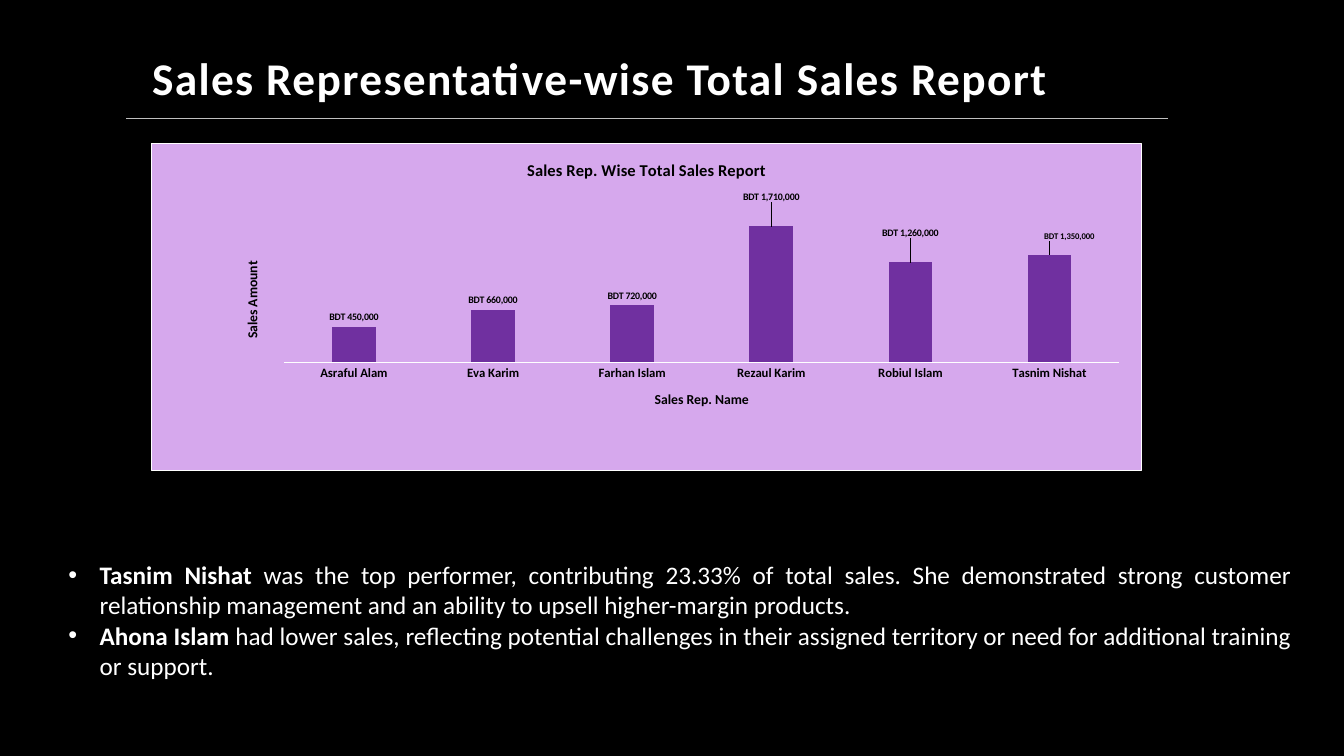
from lxml import etree
from pptx import Presentation
from pptx.chart.data import CategoryChartData
from pptx.dml.color import RGBColor
from pptx.enum.chart import XL_CHART_TYPE, XL_LABEL_POSITION, XL_TICK_MARK
from pptx.enum.shapes import MSO_CONNECTOR
from pptx.enum.text import MSO_ANCHOR, PP_ALIGN
from pptx.oxml import parse_xml
from pptx.oxml.ns import nsdecls, qn
from pptx.util import Inches, Pt

BLACK = RGBColor(0x00, 0x00, 0x00)
WHITE = RGBColor(0xFF, 0xFF, 0xFF)
GREY = RGBColor(0xBF, 0xBF, 0xBF)
LILAC = RGBColor(0xD6, 0xA8, 0xED)
PURPLE = RGBColor(0x70, 0x30, 0xA0)
FONT = "Calibri"

# Content
TITLE = "Sales Representative-wise Total Sales Report"
CHART_TITLE = "Sales Rep. Wise Total Sales Report"
NAME_TITLE, AMOUNT_TITLE = "Sales Rep. Name", "Sales Amount"
SALES = {"Asraful Alam": 450000, "Eva Karim": 660000, "Farhan Islam": 720000,
         "Rezaul Karim": 1710000, "Robiul Islam": 1260000, "Tasnim Nishat": 1350000}
FINDINGS = [
    ("Tasnim Nishat", " was the top performer, contributing 23.33% of total sales. She demonstrated "
     "strong customer relationship management and an ability to upsell higher-margin products."),
    ("Ahona Islam", " had lower sales, reflecting potential challenges in their assigned territory "
     "or need for additional training or support."),
]
NUMBER_FORMAT = r"[$BDT]\ #,##0"
# Shifted value labels: name -> (dx, dy as shares of the chart, size)
SHIFTED = {"Rezaul Karim": (0, -0.06, 7.1), "Robiul Islam": (0, -0.06, 7.1),
           "Tasnim Nishat": (0.02, -0.03, 6.2)}

# Boxes: left, top, width, height in inches
TITLE_BOX = (1.41, 0.42, 10.33, 0.67)
CHART_BOX = (1.5, 1.42, 9.83, 3.25)
FINDINGS_BOX = (0.58, 5.5, 12.33, 1.92)
RULE = (1.25, 1.17, 11.58, 1.17)
PLOT = (0.134, 0.231, 0.843, 0.439)  # shares of the chart


def set_font(font, size, color=BLACK, bold=True):
    for key, value in {"name": FONT, "size": Pt(size), "bold": bold}.items():
        setattr(font, key, value)
    font.color.rgb = color


def add_text(box):
    tf = slide.shapes.add_textbox(*map(Inches, box)).text_frame
    tf.word_wrap = True
    return tf


def add_run(p, text, size, bold):
    r = p.add_run()
    r.text = text
    set_font(r.font, size, WHITE, bold)
    return r


def layout_xml(values, target=""):
    inner = "".join(f'<c:{tag} val="{val}"/>' for tag, val in values.items())
    return parse_xml(f'<c:layout {nsdecls("c")}><c:manualLayout>{target}{inner}'
                     '</c:manualLayout></c:layout>')


def set_title(owner, text, size):
    p = owner.text_frame.paragraphs[0]
    p.text = text
    set_font(p.runs[0].font, size)


prs = Presentation()
prs.slide_width, prs.slide_height = Inches(13.33), Inches(7.5)
slide = prs.slides.add_slide(prs.slide_layouts[6])
slide.background.fill.solid()
slide.background.fill.fore_color.rgb = BLACK

# Title and rule
tf = add_text(TITLE_BOX)
tf.vertical_anchor = MSO_ANCHOR.BOTTOM
p = tf.paragraphs[0]
p.line_spacing = 0.9
add_run(p, TITLE, 32.4, True).font._element.set("spc", "100")

rule = slide.shapes.add_connector(MSO_CONNECTOR.STRAIGHT, *map(Inches, RULE))
rule.line.color.rgb, rule.line.width = GREY, Pt(0.5)
etree.SubElement(rule._element.spPr, qn("a:effectLst"))

# Column chart
data = CategoryChartData(number_format="General")
data.categories = list(SALES)
data.add_series("Series 1", list(SALES.values()))
chart = slide.shapes.add_chart(XL_CHART_TYPE.COLUMN_CLUSTERED, *map(Inches, CHART_BOX), data).chart
set_font(chart.font, 9.8)
chart.has_legend = False
set_title(chart.chart_title, CHART_TITLE, 11.8)

names, amounts = chart.category_axis, chart.value_axis
set_title(names.axis_title, NAME_TITLE, 9.8)
set_title(amounts.axis_title, AMOUNT_TITLE, 9.8)
amounts.axis_title.text_frame._txBody.bodyPr.set("rot", "-5400000")
names.major_tick_mark = XL_TICK_MARK.NONE
names.format.line.color.rgb, names.format.line.width = WHITE, Pt(0.75)
set_font(names.tick_labels.font, 9.1)
amounts.has_major_gridlines = False
amounts.minimum_scale, amounts.maximum_scale = 0, 1800000
amounts.visible = False

plot = chart.plots[0]
plot.gap_width, plot.overlap, plot.vary_by_categories = 219, -27, False
series = plot.series[0]
series.format.fill.solid()
series.format.fill.fore_color.rgb = PURPLE
labels = series.data_labels
labels.show_value = True
labels.number_format, labels.number_format_is_linked = NUMBER_FORMAT, False
labels.position = XL_LABEL_POSITION.OUTSIDE_END
set_font(labels.font, 7.1)
for i, name in enumerate(SALES):
    if name in SHIFTED:
        dx, dy, size = SHIFTED[name]
        label = series.points[i].data_label
        set_font(label.font, size)
        label.position = XL_LABEL_POSITION.OUTSIDE_END
        idx = labels._element.findall(qn("c:dLbl"))[-1].find(qn("c:idx"))
        idx.addnext(parse_xml(f'<c:numFmt {nsdecls("c")} formatCode="{NUMBER_FORMAT}" sourceLinked="0"/>'))
        idx.addnext(layout_xml({"x": dx, "y": dy}))

# Plot position, chart background and border
area = chart._chartSpace.chart.plotArea
for old in area.findall(qn("c:layout")):
    area.remove(old)
frame = {"xMode": "edge", "yMode": "edge", **dict(zip("xywh", PLOT))}
area.insert(0, layout_xml(frame, '<c:layoutTarget val="inner"/>'))
chart._chartSpace.chart.addnext(parse_xml(
    f'<c:spPr {nsdecls("c", "a")}><a:solidFill><a:srgbClr val="{LILAC}"/></a:solidFill>'
    f'<a:ln w="{Pt(0.75)}"><a:solidFill><a:srgbClr val="{WHITE}"/></a:solidFill></a:ln></c:spPr>'))

# Findings
tf = add_text(FINDINGS_BOX)
for i, (name, finding) in enumerate(FINDINGS):
    p = tf.add_paragraph() if i else tf.paragraphs[0]
    p.alignment = PP_ALIGN.JUSTIFY
    add_run(p, name, 18, True)
    add_run(p, finding, 18, False)
    pPr = p._p.get_or_add_pPr()
    pPr.set("marL", str(Inches(0.31)))
    pPr.set("indent", str(-Inches(0.31)))
    etree.SubElement(pPr, qn("a:buFont")).set("typeface", "Arial")
    etree.SubElement(pPr, qn("a:buChar")).set("char", "•")

prs.save("out.pptx")
